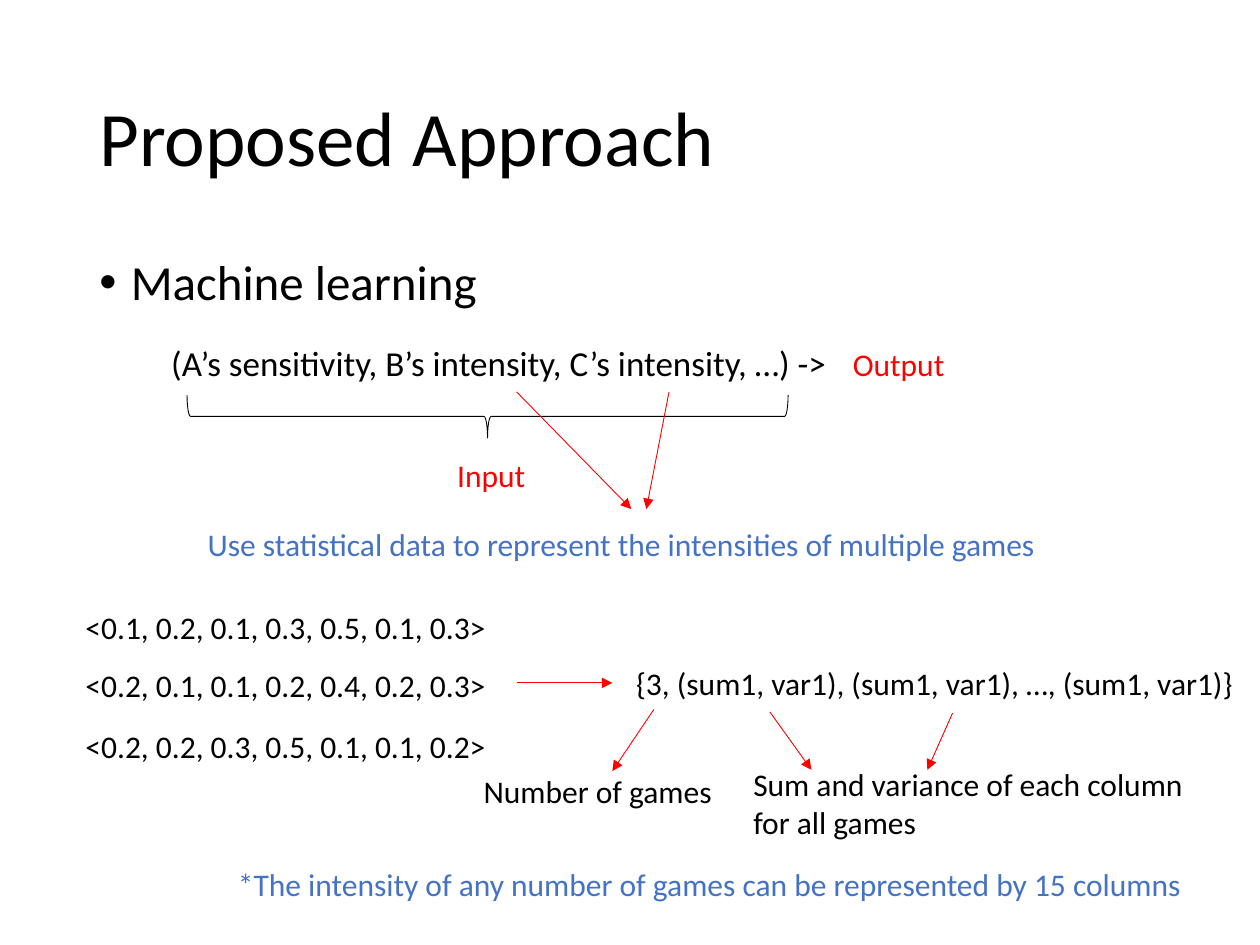
from dataclasses import dataclass

from lxml import etree
from pptx import Presentation
from pptx.dml.color import RGBColor as RGB
from pptx.enum.shapes import MSO_CONNECTOR as CONN, MSO_SHAPE as SHAPE
from pptx.enum.text import MSO_ANCHOR as ANCHOR, MSO_AUTO_SIZE as AUTO, PP_ALIGN as ALIGN
from pptx.oxml.ns import qn
from pptx.util import Inches, Pt


@dataclass(frozen=True)
class Theme:
    font: str = "Calibri"
    black: RGB = RGB(0x00, 0x00, 0x00)
    red: RGB = RGB(0xFF, 0x00, 0x00)
    blue: RGB = RGB(0x44, 0x72, 0xC4)
    title: int = 44
    bullet: int = 28
    formula: int = 20
    label: int = 18
    line: float = 0.5


def write(tf, text, *, font, size, color, spacing=None, bullet=False):
    """Put one formatted paragraph into a text frame."""
    tf.word_wrap = True
    p = tf.paragraphs[0]
    p.alignment = ALIGN.LEFT
    if spacing:
        p.line_spacing = spacing
    if bullet:
        p_pr = p._p.get_or_add_pPr()
        p_pr.set("marL", str(Inches(0.25)))
        p_pr.set("indent", str(-Inches(0.25)))
        etree.SubElement(p_pr, qn("a:buFont")).set("typeface", "Arial")
        etree.SubElement(p_pr, qn("a:buChar")).set("char", "•")
    r = p.add_run()
    r.text = text
    r.font.name = font
    r.font.size = Pt(size)
    r.font.color.rgb = color


class SlideBuilder:
    def __init__(self, slide, theme):
        self.slide = slide
        self.theme = theme

    def title(self, text, x, y, w, h):
        t, sp = self.theme, self.slide.shapes.title
        sp.left, sp.top, sp.width, sp.height = map(Inches, (x, y, w, h))
        tf = sp.text_frame
        tf.vertical_anchor = ANCHOR.MIDDLE
        tf.auto_size = AUTO.NONE
        write(tf, text, font=t.font, size=t.title, color=t.black, spacing=0.9)

    def text(self, text, x, y, w, h=0.4, *, size=None, color=None, **fmt):
        t = self.theme
        sp = self.slide.shapes.add_textbox(*map(Inches, (x, y, w, h)))
        sp.text_frame.auto_size = AUTO.SHAPE_TO_FIT_TEXT
        write(sp.text_frame, text, font=t.font, size=size or t.label,
              color=color or t.black, **fmt)

    def brace(self, x, y, w, h):
        """Left brace turned so that its point faces down."""
        sp = self.slide.shapes.add_shape(SHAPE.LEFT_BRACE, *map(Inches, (x, y, w, h)))
        sp.rotation = 270
        sp.shadow.inherit = False
        sp.fill.background()
        sp.line.color.rgb = self.theme.black
        sp.line.width = Pt(self.theme.line)

    def arrow(self, start, end):
        cn = self.slide.shapes.add_connector(CONN.STRAIGHT, *map(Inches, (*start, *end)))
        cn.line.color.rgb = self.theme.red
        cn.line.width = Pt(self.theme.line)
        etree.SubElement(cn.line._get_or_add_ln(), qn("a:tailEnd")).set("type", "triangle")
        etree.SubElement(cn._element.spPr, qn("a:effectLst"))


def main():
    prs = Presentation()
    prs.slide_width, prs.slide_height = Inches(10), Inches(7.5)
    theme = Theme()
    s = SlideBuilder(prs.slides.add_slide(prs.slide_layouts[5]), theme)

    # Heading and topic
    s.title("Proposed Approach", 0.69, 0.4, 8.62, 1.45)
    s.text("Machine learning", 0.69, 2, 9.25, 0.67,
           size=theme.bullet, spacing=0.9, bullet=True)

    # Model input and output
    s.text("(A’s sensitivity, B’s intensity, C’s intensity, …) ->",
           1.26, 2.66, 7.71, 0.44, size=theme.formula)
    s.brace(3.7, 0.92, 0.34, 4.77)
    s.text("Input", 3.53, 3.57, 1.32, color=theme.red)
    s.text("Output", 6.67, 2.69, 1.32, color=theme.red)
    s.text("Use statistical data to represent the intensities of multiple games",
           1.55, 4.12, 7.13, color=theme.blue)

    # Intensity vectors, one per game
    vectors = [
        (4.78, "<0.1, 0.2, 0.1, 0.3, 0.5, 0.1, 0.3>"),
        (5.24, "<0.2, 0.1, 0.1, 0.2, 0.4, 0.2, 0.3>"),
        (5.72, "<0.2, 0.2, 0.3, 0.5, 0.1, 0.1, 0.2>"),
    ]
    for y, vector in vectors:
        s.text(vector, 0.58, y, 3.99)

    # Summary of the vectors and its explanation
    s.text("{3, (sum1, var1), (sum1, var1), …, (sum1, var1)}", 4.95, 5.22, 4.98)
    s.text("Number of games", 3.74, 6.08, 2.24)
    s.text("Sum and variance of each column for all games", 5.88, 6.02, 3.72, 0.71)
    s.text("*The intensity of any number of games can be represented by 15 columns",
           1.79, 6.82, 8.14, color=theme.blue)

    # Arrows
    arrows = [
        ((4.1, 3.11), (5.01, 4.04)),   # B's intensity to statistics
        ((5.31, 3.11), (5.13, 4.04)),  # C's intensity to statistics
        ((4.1, 5.42), (4.86, 5.42)),   # vectors to summary
        ((5.19, 5.63), (4.86, 6.12)),  # count to its label
        ((6.11, 5.65), (6.44, 6.11)),  # first pair to its label
        ((7.56, 5.66), (7.36, 6.11)),  # second pair to its label
    ]
    for start, end in arrows:
        s.arrow(start, end)

    prs.save("out.pptx")


if __name__ == "__main__":
    main()
